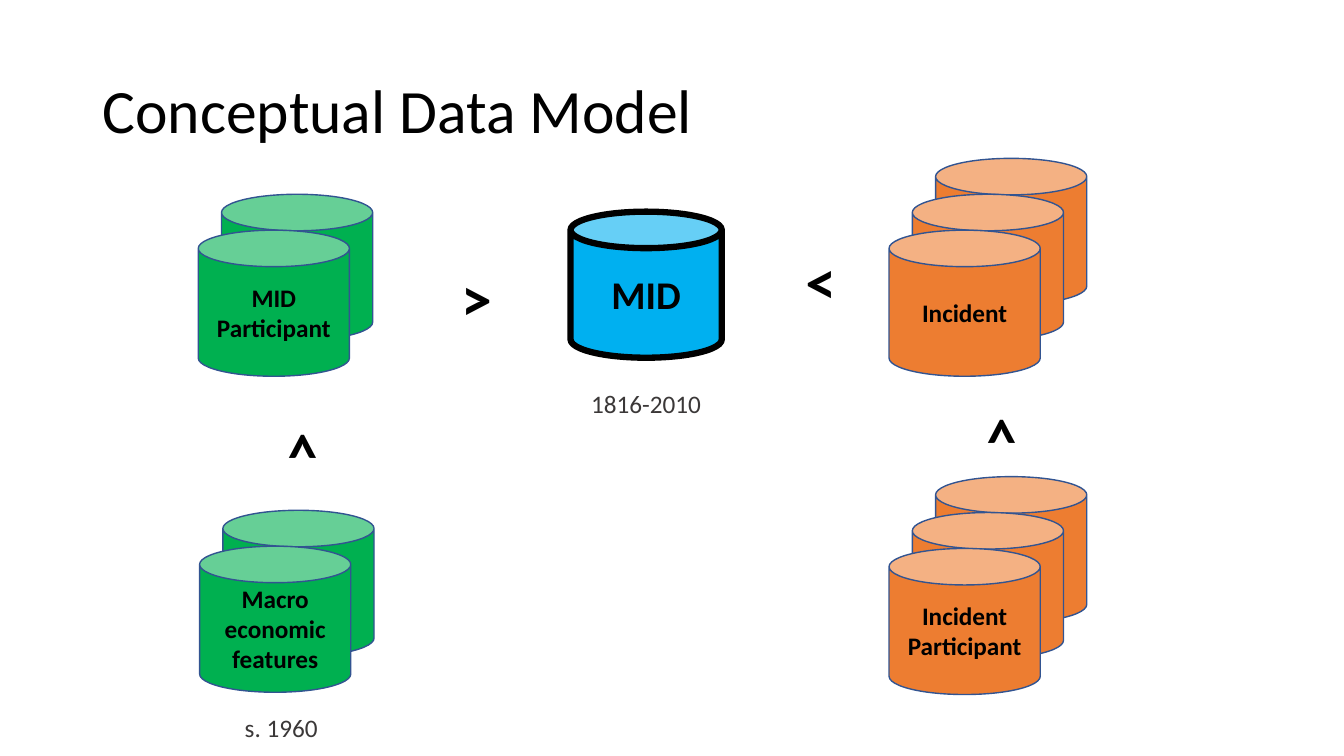
from dataclasses import dataclass

from pptx import Presentation
from pptx.dml.color import RGBColor
from pptx.enum.shapes import MSO_SHAPE as Shape
from pptx.enum.text import MSO_ANCHOR as Anchor, PP_ALIGN as Align
from pptx.util import Inches, Pt

SLIDE_WIDTH, SLIDE_HEIGHT = Inches(13.33), Inches(7.5)
COLUMNS = ROWS = 100
CAN_SIZE = 11.25, 19.33
STACK_STEP = 1.73, -4.75


@dataclass(frozen=True)
class Theme:
    """Colours, font and type sizes of the slide."""
    font: str = "Calibri"
    ink: str = "000000"
    caption: str = "3B3838"
    outline: str = "325491"
    dispute: str = "00B0F0"
    participant: str = "00B050"
    incident: str = "ED7D31"
    heading_size: int = 44
    center_size: int = 28
    label_size: int = 18


THEME = Theme()


def place(column, row, width, height):
    """Turn grid columns and rows into slide lengths."""
    return (int(SLIDE_WIDTH * column / COLUMNS), int(SLIDE_HEIGHT * row / ROWS),
            int(SLIDE_WIDTH * width / COLUMNS), int(SLIDE_HEIGHT * height / ROWS))


def write(holder, text, *, size=THEME.label_size, color=THEME.ink, bold=False,
          align=Align.CENTER, anchor=Anchor.MIDDLE, spacing=1.0):
    """Write text into a shape, one paragraph per line."""
    frame = holder.text_frame
    frame.word_wrap = True
    frame.vertical_anchor = anchor
    frame.text = text
    for paragraph in frame.paragraphs:
        paragraph.alignment = align
        paragraph.line_spacing = spacing
        font = paragraph.font
        font.name, font.size, font.bold = THEME.font, Pt(size), bold
        font.color.rgb = RGBColor.from_string(color)


def add_text(slide, text, area, rotation=0, **style):
    """Add a text box on the grid."""
    box = slide.shapes.add_textbox(*place(*area))
    box.rotation = rotation
    write(box, text, **style)


def add_can(slide, column, row, fill, outline=THEME.outline, weight=1):
    """Add one data store cylinder."""
    can = slide.shapes.add_shape(Shape.CAN, *place(column, row, *CAN_SIZE))
    can.shadow.inherit = False
    can.fill.solid()
    can.fill.fore_color.rgb = RGBColor.from_string(fill)
    can.line.color.rgb = RGBColor.from_string(outline)
    can.line.width = Pt(weight)
    return can


def add_stack(slide, label, column, row, fill, count):
    """Add a stack of cylinders with the label on the front one."""
    across, up = STACK_STEP
    for depth in reversed(range(count)):
        can = add_can(slide, column + depth * across, row + depth * up, fill)
    write(can, label, bold=True)


def add_relation(slide, column, row, width, rotation):
    """Add a one-to-many mark between data stores."""
    add_text(slide, ">", (column, row, width, 11.2), rotation,
             size=THEME.heading_size, bold=True, align=Align.LEFT, anchor=Anchor.TOP)


def add_years(slide, years, column, row):
    """Add the years that a data store covers."""
    add_text(slide, years, (column, row, 12.45, 5.33),
             color=THEME.caption, anchor=Anchor.TOP)


def main():
    """Build the conceptual data model slide."""
    deck = Presentation()
    deck.slide_width, deck.slide_height = SLIDE_WIDTH, SLIDE_HEIGHT
    slide = deck.slides.add_slide(deck.slide_layouts[6])

    add_text(slide, "Conceptual Data Model", (6.9, 5.33, 86.25, 19.33),
             size=THEME.heading_size, align=Align.LEFT, spacing=0.9)

    dispute = add_can(slide, 42.45, 28, THEME.dispute, THEME.ink, 4.5)
    write(dispute, "MID", size=THEME.center_size, bold=True)

    for label, column, row, fill, count in (
        ("Incident", 66.15, 30.45, THEME.incident, 3),
        ("MID\nParticipant", 14.75, 30.45, THEME.participant, 2),
        ("Macro\neconomic features", 14.85, 72.25, THEME.participant, 2),
        ("Incident Participant", 66.15, 72.55, THEME.incident, 3),
    ):
        add_stack(slide, label, column, row, fill, count)

    for column, row, width, rotation in (
        (57.3, 32.67, 5.7, 180),
        (33.6, 33.73, 5.7, 0),
        (72, 51.07, 4.43, 270),
        (19.95, 53.07, 4.43, 270),
    ):
        add_relation(slide, column, row, width, rotation)

    add_years(slide, "1816-2010", 41.85, 50.67)
    add_years(slide, "s. 1960", 14.7, 93.6)
    deck.save("out.pptx")


if __name__ == "__main__":
    main()
